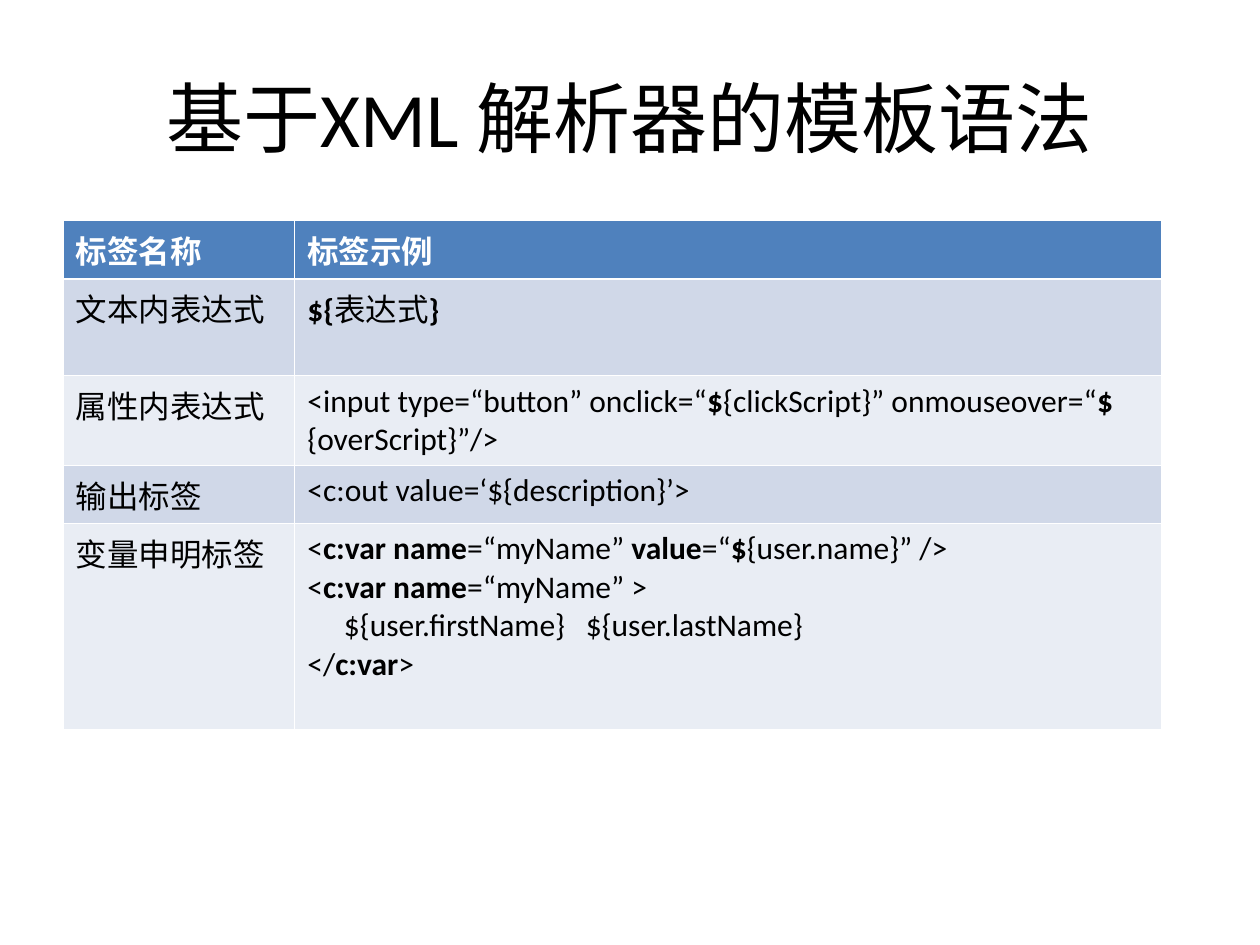
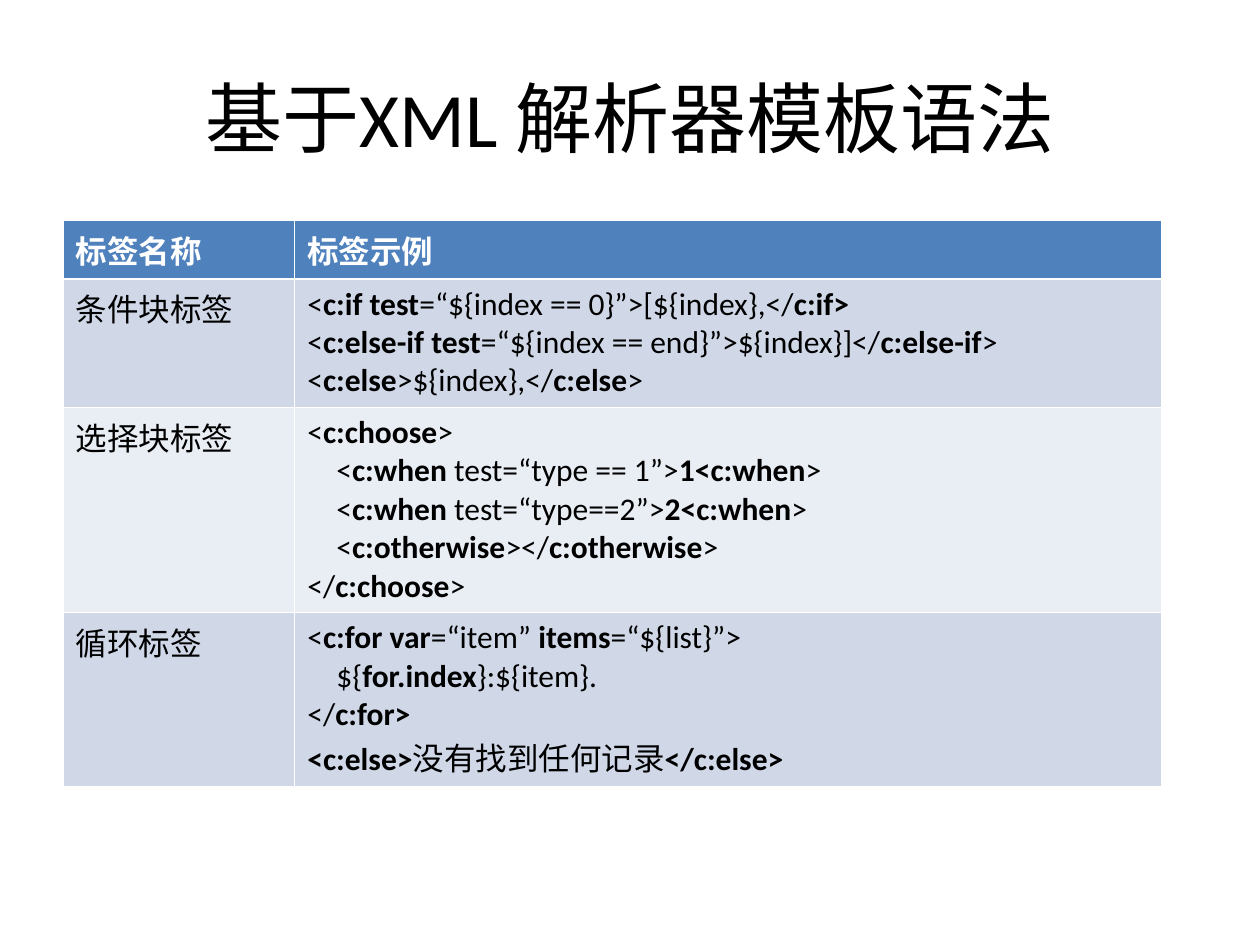
from dataclasses import dataclass

from lxml import etree
from pptx import Presentation
from pptx.dml.color import RGBColor
from pptx.enum.text import MSO_ANCHOR, PP_ALIGN
from pptx.oxml.ns import qn
from pptx.util import Inches, Pt

LEFT, CENTER = PP_ALIGN.LEFT, PP_ALIGN.CENTER
MIDDLE = MSO_ANCHOR.MIDDLE
TITLE_ONLY = 5


@dataclass(frozen=True)
class Theme:
    """Colours, font, type sizes and line widths of both slides."""
    font: str = "Calibri"
    ink: str = "000000"
    white: str = "FFFFFF"
    head: str = "4F81BD"
    bands: tuple = ("D0D8E8", "E9EDF4")
    title: int = 44
    body: int = 18
    thin: float = 0.45
    thick: float = 1.47


T = Theme()


def put(frame, text, size=T.body, color=T.ink, bold=False, align=LEFT, tabs=()):
    """Write lines of text; parts between asterisks turn bold."""
    for i, line in enumerate(text.split("\n")):
        para = frame.add_paragraph() if i else frame.paragraphs[0]
        para.alignment = align
        if "\t" in line:
            stops = etree.SubElement(para._p.get_or_add_pPr(), qn("a:tabLst"))
            for stop in tabs:
                etree.SubElement(stops, qn("a:tab"), pos=str(Inches(stop)), algn="l")
        for j, part in enumerate(line.split("*")):
            if part:
                run = para.add_run()
                run.text = part
                run.font.name = T.font
                run.font.size = Pt(size)
                run.font.bold = bold or j % 2 == 1
                run.font.color.rgb = RGBColor.from_string(color)


def edge(cell, **widths):
    """Draw white cell borders, one width in points per side."""
    props = cell._tc.get_or_add_tcPr()
    for side, width in widths.items():
        line = etree.SubElement(props, qn(f"a:ln{side}"), w=str(Pt(width)))
        fill = etree.SubElement(line, qn("a:solidFill"))
        etree.SubElement(fill, qn("a:srgbClr"), val=T.white)


COLS = (1.84, 6.88)
HEAD = (0.46, "标签名称", "标签示例", ())

# Each row: height, tag name, sample, tab stops
SLIDES = [
    ("基于XML 解析器的模板语法", [
        (0.77, "文本内表达式", "*${*表达式*}*", ()),
        (0.71, "属性内表达式",
         "<input type=“button” onclick=“*$*{clickScript}” "
         "onmouseover=“*$*{overScript}”/>", ()),
        (0.46, "输出标签", "<c:out value=‘${description}’>", ()),
        (1.63, "变量申明标签",
         "<*c:var name*=“myName” *value*=“*$*{user.name}” />\n"
         "<*c:var name*=“myName” >\n"
         "\t${user.firstName}\t${user.lastName}\n"
         "</*c:var*>", (0.29, 2.21)),
    ]),
    ("基于XML 解析器模板语法", [
        (1.02, "条件块标签",
         "<*c:if test*=“${index == 0}”>[${index},</*c:if>*\n"
         "<*c:else-if test*=“${index == end}”>${index}]</*c:else-if*>\n"
         "<*c:else*>${index},</*c:else*>", ()),
        (1.63, "选择块标签",
         "<*c:choose*>\n"
         "\t<*c:when* test=“type == 1”>*1<c:when*>\n"
         "\t<*c:when* test=“type==2”>*2<c:when*>\n"
         "\t<*c:otherwise*></*c:otherwise*>\n"
         "</*c:choose*>", (0.23,)),
        (1.38, "循环标签",
         "<*c:for var*=“item” *items*=“${list}”>\n"
         "\t${*for.index*}:${item}.\n"
         "</*c:for>*\n"
         "*<c:else>*没有找到任何记录*</c:else>*", (0.23,)),
    ]),
]

deck = Presentation()
deck.slide_width, deck.slide_height = Inches(10), Inches(7.5)

for name, tags in SLIDES:
    slide = deck.slides.add_slide(deck.slide_layouts[TITLE_ONLY])
    title = slide.shapes.title
    title.left, title.top = Inches(0.5), Inches(0.3)
    title.width, title.height = Inches(9), Inches(1.25)
    title.text_frame.vertical_anchor = MIDDLE
    put(title.text_frame, name, size=T.title, align=CENTER)

    rows = [HEAD, *tags]
    tall = sum(row[0] for row in rows)
    grid = slide.shapes.add_table(len(rows), len(COLS), Inches(0.5), Inches(1.75),
                                  Inches(sum(COLS)), Inches(tall)).table
    for col, width in zip(grid.columns, COLS):
        col.width = Inches(width)
    for r, (height, tag, sample, tabs) in enumerate(rows):
        grid.rows[r].height = Inches(height)
        top = r == 0
        for c, text in enumerate((tag, sample)):
            cell = grid.cell(r, c)
            edge(cell, L=T.thin, R=T.thin, T=T.thick if r == 1 else T.thin,
                 B=T.thick if top else T.thin)
            cell.fill.solid()
            cell.fill.fore_color.rgb = RGBColor.from_string(
                T.head if top else T.bands[(r - 1) % 2])
            put(cell.text_frame, text, color=T.white if top else T.ink,
                bold=top, tabs=tabs)

deck.save("out.pptx")
